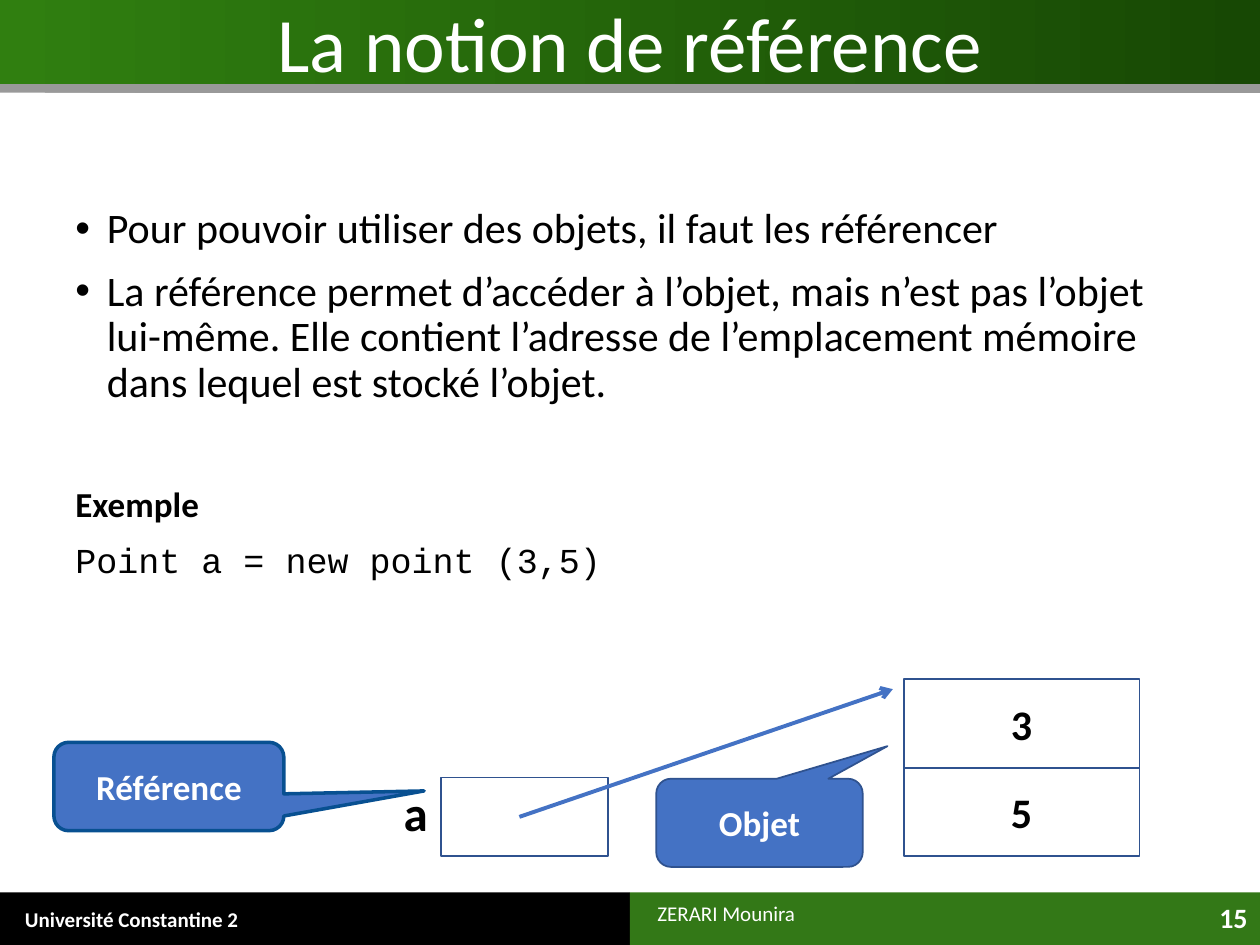
"""Build the slide on the notion of reference, with its memory diagram."""
import pptx
import pptx.dml.color
import pptx.enum.shapes
import pptx.enum.text
import pptx.oxml
import pptx.oxml.ns
import pptx.util
from lxml import etree

Pt = pptx.util.Pt
Rgb = pptx.dml.color.RGBColor.from_string
Kind = pptx.enum.shapes.MSO_SHAPE
Align = pptx.enum.text.PP_ALIGN
Anchor = pptx.enum.text.MSO_ANCHOR
qn = pptx.oxml.ns.qn
hues = {
    "black": "000000", "white": "FFFFFF", "green": "337817",
    "light": "307F10", "dark": "174804", "blue": "4472C4",
    "edge": "2F528F", "deep": "085091",
}

deck = pptx.Presentation()
deck.slide_width, deck.slide_height = Pt(720), Pt(540)
slide = deck.slides.add_slide(deck.slide_layouts[5])
shapes = slide.shapes


def draw(kind, area, fill=None, edge=None, width=1):
    shape = shapes.add_shape(kind, *map(Pt, area))
    shape.shadow.inherit = False
    if fill:
        shape.fill.solid()
        shape.fill.fore_color.rgb = Rgb(hues[fill])
    else:
        shape.fill.background()
    if edge:
        shape.line.color.rgb = Rgb(hues[edge])
        shape.line.width = Pt(width)
    else:
        shape.line.fill.background()
    return shape


def write(para, words, size, hue="black", align=Align.LEFT, bold=False, face="Calibri"):
    para.alignment = align
    run = para.add_run()
    run.text = words
    look = {"size": Pt(size), "bold": bold, "name": face}
    for key, value in look.items():
        setattr(run.font, key, value)
    run.font.color.rgb = Rgb(hues[hue])


draw(Kind.RECTANGLE, (0, 510, 360, 30), "black")
draw(Kind.RECTANGLE, (360, 510, 360, 30), "green")
head = draw(Kind.RECTANGLE, (0, 0, 720, 48))
head.fill.gradient()
head.fill.gradient_angle = 0
for stop, hue in zip(head.fill.gradient_stops, ("light", "dark")):
    stop.color.rgb = Rgb(hues[hue])
glow = head.element.spPr.find(qn("a:effectLst"))
shade = etree.SubElement(glow, qn("a:outerShdw"), dist=str(Pt(5)), dir="5400000", rotWithShape="0")
tint = etree.SubElement(shade, qn("a:srgbClr"), val=hues["black"])
etree.SubElement(tint, qn("a:alpha"), val="40000")

title = shapes.title
shapes.element.append(title.element)
title.left, title.top, title.width, title.height = map(Pt, (36, 0, 648, 63))
frame = title.text_frame
frame.auto_size = pptx.enum.text.MSO_AUTO_SIZE.NONE
frame.vertical_anchor = Anchor.TOP
write(frame.paragraphs[0], "La notion de référence", 44, "white", Align.CENTER)
frame.paragraphs[0].line_spacing = 0.9

body = shapes.add_textbox(*map(Pt, (36, 115, 648, 383))).text_frame
body.word_wrap = True
lines = [
    ("Pour pouvoir utiliser des objets, il faut les référencer", 24, 0, True, {}),
    ("La référence permet d’accéder à l’objet, mais n’est pas l’objet lui-même. "
     "Elle contient l’adresse de l’emplacement mémoire dans lequel est stocké l’objet.",
     24, 10, True, {}),
    ("Exemple", 20, 46.4, False, {"bold": True}),
    ("Point a = new point (3,5)", 20, 10, False, {"face": "Courier New"}),
]
for rank, (words, size, gap, dot, look) in enumerate(lines):
    para = body.add_paragraph() if rank else body.paragraphs[0]
    para.line_spacing = 0.9
    para.space_before = Pt(gap)
    if dot:
        props = para._p.get_or_add_pPr()
        props.set("marL", str(Pt(18)))
        props.set("indent", str(-Pt(18)))
        etree.SubElement(props, qn("a:buFont"), typeface="Arial")
        etree.SubElement(props, qn("a:buChar"), char="•")
    write(para, words, size, **look)

labels = [
    ("Université Constantine 2", (7.2, 510.5, 222.8, 29.5), 12, "white", Align.LEFT, True, Anchor.MIDDLE),
    ("15", (636, 511, 84, 29), 16, "white", Align.RIGHT, True, Anchor.TOP),
    ("ZERARI Mounira", (368.6, 511, 94, 22), 12, "white", Align.LEFT, False, Anchor.TOP),
    ("a", (206.6, 450, 62, 28), 28, "black", Align.CENTER, True, Anchor.MIDDLE),
]
for words, area, size, hue, align, bold, anchor in labels:
    frame = shapes.add_textbox(*map(Pt, area)).text_frame
    frame.word_wrap = words != "ZERARI Mounira"
    frame.vertical_anchor = anchor
    write(frame.paragraphs[0], words, size, hue, align, bold)

draw(Kind.RECTANGLE, (252, 444.3, 95.6, 44.8), edge="edge")
for row, words in enumerate(("3", "5")):
    cell = draw(Kind.RECTANGLE, (516.4, 388.2 + 50.5 * row, 134.8, 50.5), edge="edge")
    cell.text_frame.vertical_anchor = Anchor.MIDDLE
    write(cell.text_frame.paragraphs[0], words, 24, align=Align.CENTER, bold=True)

arrow = shapes.add_connector(
    pptx.enum.shapes.MSO_CONNECTOR.STRAIGHT, *map(Pt, (296.8, 466.8, 510.2, 393.8)))
arrow.line.color.rgb = Rgb(hues["blue"])
arrow.line.width = Pt(2.25)
props = arrow.element.spPr
etree.SubElement(props.find(qn("a:ln")), qn("a:tailEnd"), type="arrow")
etree.SubElement(props, qn("a:effectLst"))

calls = [
    ("Référence", (30.8, 424.2, 131.4, 50.5), "deep", 2, (1.11, 0.05)),
    ("Objet", (375, 445, 118, 50.4), "edge", 1, (0.62, -0.87)),
]
for words, area, edge, width, tip in calls:
    call = draw(Kind.ROUNDED_RECTANGULAR_CALLOUT, area, "blue", edge, width)
    call.adjustments[0], call.adjustments[1] = tip
    call.text_frame.vertical_anchor = Anchor.MIDDLE
    write(call.text_frame.paragraphs[0], words, 20, "white", Align.CENTER, True)

deck.save("out.pptx")
